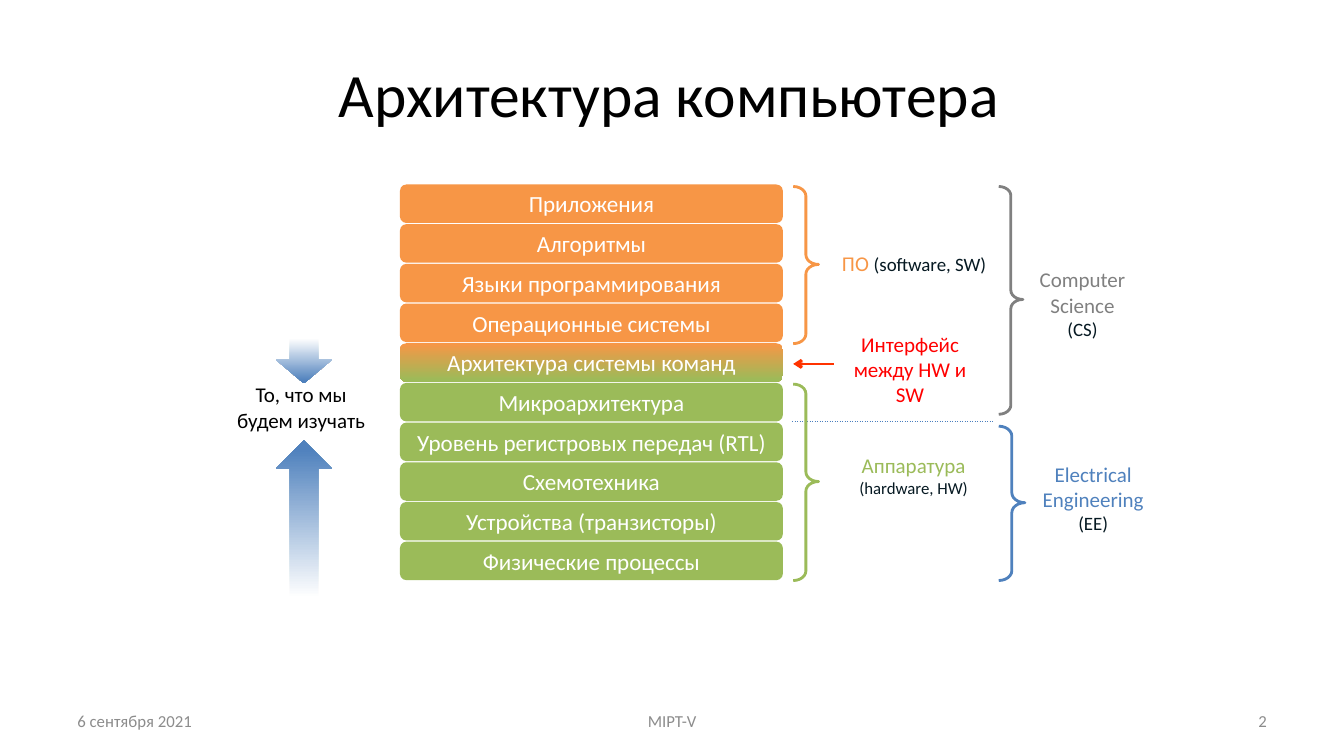
import lxml.etree
import pptx
import pptx.dml.color
import pptx.enum.dml
import pptx.enum.shapes
import pptx.enum.text
import pptx.oxml.ns
import pptx.util

Cm = pptx.util.Cm
Pt = pptx.util.Pt
RGBColor = pptx.dml.color.RGBColor
SHAPE = pptx.enum.shapes.MSO_SHAPE
ALIGN = pptx.enum.text.PP_ALIGN
ANCHOR = pptx.enum.text.MSO_ANCHOR

FONT = "Calibri"
BLACK = RGBColor(0x00, 0x00, 0x00)
WHITE = RGBColor(0xFF, 0xFF, 0xFF)
ORANGE = RGBColor(0xF7, 0x96, 0x46)
GREEN = RGBColor(0x9B, 0xBB, 0x59)
BLUE = RGBColor(0x4F, 0x81, 0xBD)
DIVIDER_BLUE = RGBColor(0x4B, 0x7E, 0xBC)
GRAY = RGBColor(0x80, 0x80, 0x80)
FOOTER_GRAY = RGBColor(0x8C, 0x8C, 0x8C)
INK = RGBColor(0x06, 0x19, 0x22)
RED = RGBColor(0xFF, 0x00, 0x00)
ARROW_RED = RGBColor(0xFF, 0x33, 0x00)

SOFTWARE_LAYERS = ["Приложения", "Алгоритмы", "Языки программирования",
                   "Операционные системы"]
INTERFACE_LAYER = "Архитектура системы команд"
HARDWARE_LAYERS = ["Микроархитектура", "Уровень регистровых передач (RTL)",
                   "Схемотехника", "Устройства (транзисторы)",
                   "Физические процессы"]
LAYER_PITCH, LAYER_HEIGHT = 1.0, 0.97
DOWNWARD, UPWARD = 270, 90


def format_span(span, size, color):
    span.font.name = FONT
    span.font.size = Pt(size)
    span.font.color.rgb = color


def add_text(page, left, top, width, height, paras,
             align=ALIGN.CENTER, anchor=ANCHOR.TOP):
    """Place paragraphs, each a list of (text, size, colour) spans."""
    box = page.shapes.add_textbox(Cm(left), Cm(top), Cm(width), Cm(height))
    frame = box.text_frame
    frame.word_wrap = True
    frame.vertical_anchor = anchor
    for index, spans in enumerate(paras):
        para = frame.add_paragraph() if index else frame.paragraphs[0]
        para.alignment = align
        for text, size, color in spans:
            span = para.add_run()
            span.text = text
            format_span(span, size, color)


def add_shape(page, kind, left, top, width, height):
    shape = page.shapes.add_shape(kind, Cm(left), Cm(top), Cm(width), Cm(height))
    shape.shadow.inherit = False
    shape.line.fill.background()
    return shape


def fill_gradient(shape, stops, angle):
    shape.fill.gradient()
    shape.fill.gradient_angle = angle
    for stop, (position, color) in zip(shape.fill.gradient_stops, stops):
        stop.position = position
        stop.color.rgb = color


def add_line(page, start, end, color, width):
    line = page.shapes.add_connector(
        pptx.enum.shapes.MSO_CONNECTOR.STRAIGHT, *map(Cm, start + end))
    line.line.color.rgb = color
    line.line.width = Pt(width)
    lxml.etree.SubElement(line.element.spPr, pptx.oxml.ns.qn("a:effectLst"))
    return line


def add_layer_stack(page, left, top, width):
    names = SOFTWARE_LAYERS + [INTERFACE_LAYER] + HARDWARE_LAYERS
    for index, name in enumerate(names):
        layer = add_shape(page, SHAPE.ROUNDED_RECTANGLE, left,
                          top + index * LAYER_PITCH, width, LAYER_HEIGHT)
        if name == INTERFACE_LAYER:
            fill_gradient(layer, [(0, ORANGE), (0.97, GREEN)], DOWNWARD)
        else:
            layer.fill.solid()
            layer.fill.fore_color.rgb = ORANGE if name in SOFTWARE_LAYERS else GREEN
        frame = layer.text_frame
        frame.text = name
        frame.word_wrap = False
        frame.vertical_anchor = ANCHOR.MIDDLE
        frame.margin_left = frame.margin_right = Cm(0.18)
        frame.margin_top = frame.margin_bottom = Cm(0.1)
        frame.paragraphs[0].alignment = ALIGN.CENTER
        format_span(frame.paragraphs[0].runs[0], 16.5, WHITE)


def add_braced_label(page, left, top, width, height, color, label_box, paras):
    """Draw a brace in the box; label_box is relative to the brace's corner."""
    brace = add_shape(page, SHAPE.RIGHT_BRACE, left, top, width, height)
    brace.fill.background()
    brace.line.color.rgb = color
    brace.line.width = Pt(2)
    brace.adjustments[0] = 0.378
    brace.adjustments[1] = 0.496
    dx, dy, label_width, label_height = label_box
    add_text(page, left + dx, top + dy, label_width, label_height, paras)


def add_interface_note(page, left, top, width, height):
    add_text(page, left + 1.19, top, width - 1.19, height,
             [[("Интерфейс между HW и SW", 15, RED)]])
    arrow_y = top + 0.94
    arrow = add_line(page, (left + 1.02, arrow_y), (left, arrow_y), ARROW_RED, 2)
    outline = arrow.line._get_or_add_ln()
    lxml.etree.SubElement(outline, pptx.oxml.ns.qn("a:tailEnd"), type="arrow")


def add_study_scope(page, left, top, width, height):
    """Caption between a short arrow from above and a long one from below."""
    arrow_width, caption_height = 1.42, 1.55
    arrow_left = left + 1.39
    caption_top = top + 1.03
    up_top = top + 2.63
    arrows = [(SHAPE.DOWN_ARROW, top, 1.19, DOWNWARD),
              (SHAPE.UP_ARROW, up_top, top + height - up_top, UPWARD)]
    for kind, arrow_top, arrow_height, angle in arrows:
        arrow = add_shape(page, kind, arrow_left, arrow_top, arrow_width, arrow_height)
        fill_gradient(arrow, [(0.05, WHITE), (0.95, BLUE)], angle)
    add_text(page, left, caption_top, width, caption_height,
             [[("То, что мы будем изучать", 15, BLACK)]])


def add_footer(page, left, top, width, height):
    parts = [("6 сентября 2021", 0, 7.9, ALIGN.LEFT),
             ("MIPT-V", 7.62, 15.24, ALIGN.CENTER),
             ("2", width - 7.9, 7.9, ALIGN.RIGHT)]
    for text, dx, part_width, align in parts:
        add_text(page, left + dx, top, part_width, height,
                 [[(text, 12, FOOTER_GRAY)]], align, ANCHOR.MIDDLE)


def build_page(page):
    divider = add_line(page, (19.96, 10.62), (25.02, 10.62), DIVIDER_BLUE, 0.25)
    divider.line.dash_style = pptx.enum.dml.MSO_LINE.DASH
    add_text(page, 5.38, 1.22, 22.96, 2.24,
             [[("Архитектура компьютера", 44, BLACK)]], anchor=ANCHOR.MIDDLE)
    add_layer_stack(page, 10.08, 4.65, 9.65)
    add_braced_label(page, 19.99, 4.7, 0.64, 3.96, ORANGE, (0.91, 1.5, 4.27, 0.89),
                     [[("ПО ", 15, ORANGE), ("(software, SW)", 13.5, INK)]])
    add_braced_label(page, 19.99, 9.68, 0.64, 4.95, GREEN, (0.99, 1.6, 4.09, 1.42),
                     [[("Аппаратура", 15, GREEN), (" (hardware, HW)", 12, INK)]])
    add_braced_label(page, 25.17, 4.7, 0.61, 5.74, GRAY, (0.61, 1.9, 3, 2.11),
                     [[("Computer Science", 15, GRAY)], [("(CS)", 13.5, INK)]])
    add_braced_label(page, 25.17, 10.74, 0.66, 3.89, BLUE, (0.69, 0.77, 3.38, 2.11),
                     [[("Electrical Engineering", 15, BLUE)], [("(EE)", 13.5, INK)]])
    add_interface_note(page, 19.99, 8.23, 4.7, 2.18)
    add_study_scope(page, 5.56, 8.47, 4.06, 6.8)
    add_footer(page, 1.7, 17.65, 30.48, 1.02)


def main():
    deck = pptx.Presentation()
    deck.slide_width, deck.slide_height = Cm(33.87), Cm(19.05)
    build_page(deck.slides.add_slide(deck.slide_layouts[6]))
    deck.save("out.pptx")


if __name__ == "__main__":
    main()
